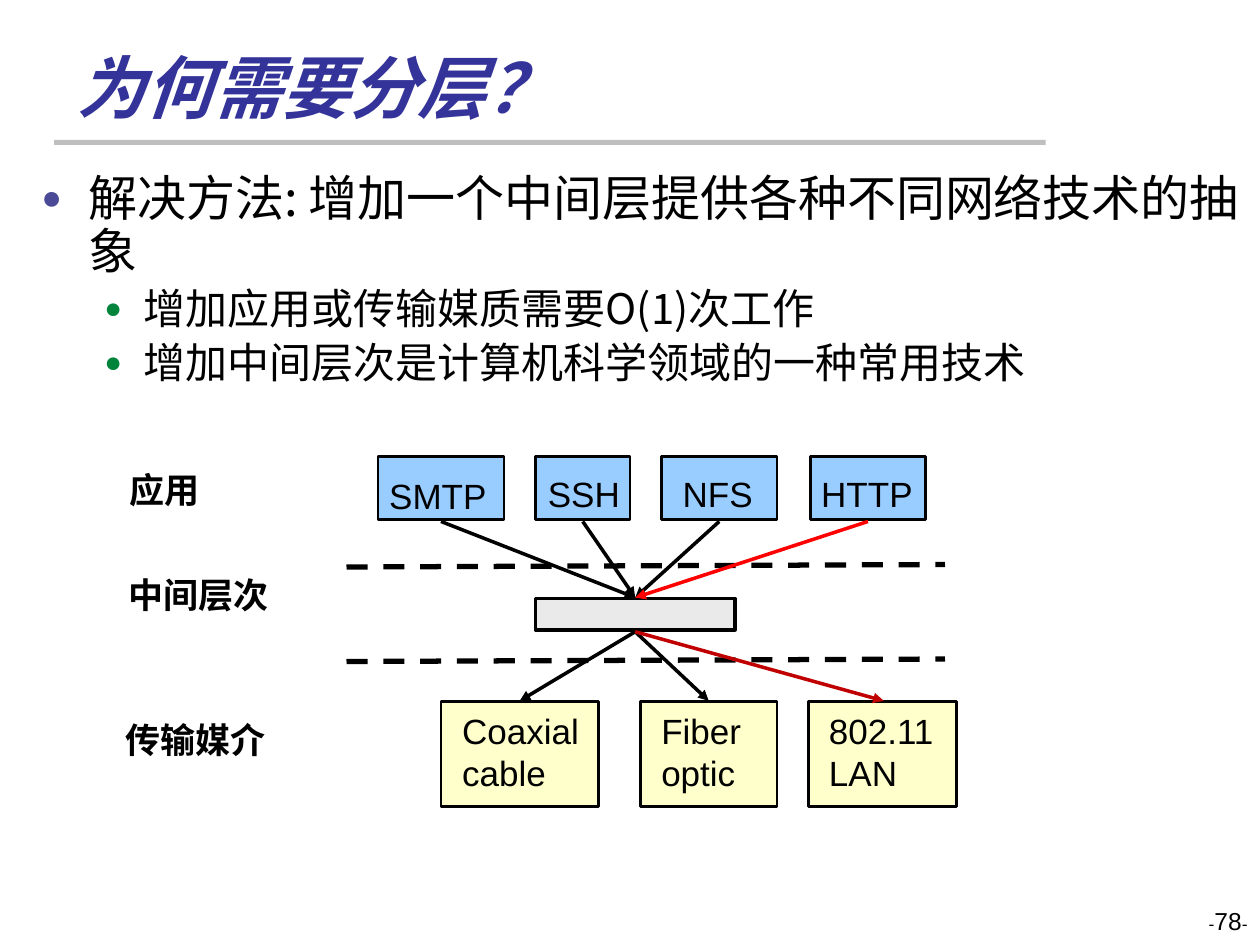
from lxml import etree
from pptx import Presentation
from pptx.dml.color import RGBColor
from pptx.enum.dml import MSO_LINE
from pptx.enum.shapes import MSO_CONNECTOR, MSO_SHAPE
from pptx.enum.text import MSO_ANCHOR, PP_ALIGN
from pptx.oxml.ns import qn
from pptx.util import Pt

RECT = MSO_SHAPE.RECTANGLE
STRAIGHT = MSO_CONNECTOR.STRAIGHT
DASH = MSO_LINE.DASH
BOTTOM, TOP = MSO_ANCHOR.BOTTOM, MSO_ANCHOR.TOP
LEFT, RIGHT = PP_ALIGN.LEFT, PP_ALIGN.RIGHT
CJK = "Noto Sans CJK SC"
COLORS = {
    "black": "000000", "title": "333399", "rule": "BFBFBF",
    "point": "4A4A97", "subpoint": "00843C", "app": "99CCFF",
    "middle": "EAEAEA", "medium": "FFFFCC", "red": "FF0000",
    "dark red": "C00000",
}

deck = Presentation()
deck.slide_width, deck.slide_height = Pt(720), Pt(540)
slide = deck.slides.add_slide(deck.slide_layouts[6])
shapes = slide.shapes


def add_text(box, lines, formats, wrap=False, anchor=TOP, align=LEFT):
    frame = shapes.add_textbox(*map(Pt, box)).text_frame
    frame.word_wrap = wrap
    frame.vertical_anchor = anchor
    for number, line in enumerate(lines):
        paragraph = frame.paragraphs[0] if number == 0 else frame.add_paragraph()
        paragraph.alignment = align
        for words, changes in line:
            run = paragraph.add_run()
            run.text = words
            values = {"name": "Arial", "color": "black", **formats, **changes}
            run.font.color.rgb = RGBColor.from_string(COLORS[values.pop("color")])
            for key, value in values.items():
                setattr(run.font, key, value)
            east_asian = etree.SubElement(run.font._element, qn("a:ea"))
            east_asian.set("typeface", CJK)
    return frame


def add_line(start, end, color, width, dash=None, arrow=False):
    connector = shapes.add_connector(STRAIGHT, *map(Pt, start + end))
    connector.line.color.rgb = RGBColor.from_string(COLORS[color])
    connector.line.width = Pt(width)
    if dash:
        connector.line.dash_style = dash
    if arrow:
        tail = etree.SubElement(connector.line._get_or_add_ln(), qn("a:tailEnd"))
        tail.set("type", "triangle")
    etree.SubElement(connector._element.spPr, qn("a:effectLst"))


applications = [
    ("SMTP", 216, 72, 215.3, 75.6, 267.8),
    ("SSH", 306, 54, 306, 55.4, 266.4),
    ("NFS", 378, 66, 383, 54.7, 266.4),
    ("HTTP", 463, 66, 462.2, 67, 266.4),
]
media = [
    ("Coaxial", "cable", 252, 90, 257, 87.8),
    ("Fiber", "optic", 366, 78, 370.8, 60.5),
    ("802.11", "LAN", 462, 84.5, 466.6, 74.9),
]
rectangles = [((31, 79.9, 566.6, 2.9), "rule", 0)]
rectangles += [((left, 261, width, 36), "app", 1.5)
               for _, left, width, *_ in applications]
rectangles += [((left, 401, width, 60), "medium", 1.5)
               for _, _, left, width, *_ in media]
rectangles += [((306, 342, 114, 18), "middle", 2)]
for box, color, border in rectangles:
    block = shapes.add_shape(RECT, *map(Pt, box))
    block.shadow.inherit = False
    block.fill.solid()
    block.fill.fore_color.rgb = RGBColor.from_string(COLORS[color])
    if border:
        block.line.color.rgb = RGBColor.from_string(COLORS["black"])
        block.line.width = Pt(border)
    else:
        block.line.fill.background()

add_text((36.7, 20.2, 594, 56.2), [[("为何需要分层？", {})]],
         {"name": "Calibri", "size": Pt(39), "color": "title", "bold": True, "italic": True},
         wrap=True, anchor=BOTTOM)

points = [
    ("解决方法: 增加一个中间层提供各种不同网络技术的抽象", 0, 28),
    ("增加应用或传输媒质需要O(1)次工作", 1, 24),
    ("增加中间层次是计算机科学领域的一种常用技术", 1, 24),
]
levels = [(27, -27, "point"), (58.5, -22.5, "subpoint")]
body = add_text((16.6, 95.8, 703.4, 140.4),
                [[(words, {"size": Pt(size)})] for words, _, size in points],
                {"name": CJK}, wrap=True)
for number, (paragraph, (_, level, size)) in enumerate(zip(body.paragraphs, points)):
    margin, indent, color = levels[level]
    paragraph.level = level
    paragraph.line_spacing = 0.9
    paragraph.space_before = Pt(size * 0.2 if number else 0)
    properties = paragraph._p.get_or_add_pPr()
    properties.set("marL", str(Pt(margin)))
    properties.set("indent", str(Pt(indent)))
    bullet_color = etree.SubElement(properties, qn("a:buClr"))
    etree.SubElement(bullet_color, qn("a:srgbClr")).set("val", COLORS[color])
    etree.SubElement(properties, qn("a:buSzPct")).set("val", "70000")
    etree.SubElement(properties, qn("a:buFont")).set("typeface", "Arial")
    etree.SubElement(properties, qn("a:buChar")).set("char", "●")

for name, _, _, left, width, top in applications:
    add_text((left, top, width, 31), [[(name, {})]], {"size": Pt(20)})
for first, second, _, _, left, width in media:
    add_text((left, 401.8, width, 55.4), [[(first, {})], [(second, {})]], {"size": Pt(20)})
for layer, left, top, width in [("应用", 67, 264.2, 54.7),
                                ("中间层次", 66.2, 324, 95),
                                ("传输媒介", 64.8, 406.8, 95)]:
    add_text((left, top, width, 31.7), [[(layer, {})]], {"size": Pt(20), "bold": True})

for boundary in (324, 378):
    add_line((198, boundary), (540, boundary - 1.4), "black", 3, dash=DASH)
for x, color in [(252, "black"), (333, "black"), (411, "black"), (496, "red")]:
    add_line((x, 298), (363, 341.5), color, 2, arrow=True)
for x, color in [(297, "black"), (405, "black"), (505, "dark red")]:
    add_line((363, 361), (x, 400.5), color, 2, arrow=True)

add_text((552.2, 514, 167.8, 36),
         [[("-", {}), ("78", {"size": Pt(14)}), ("-", {})]],
         {"size": Pt(10)}, wrap=True, align=RIGHT)

deck.save("out.pptx")
